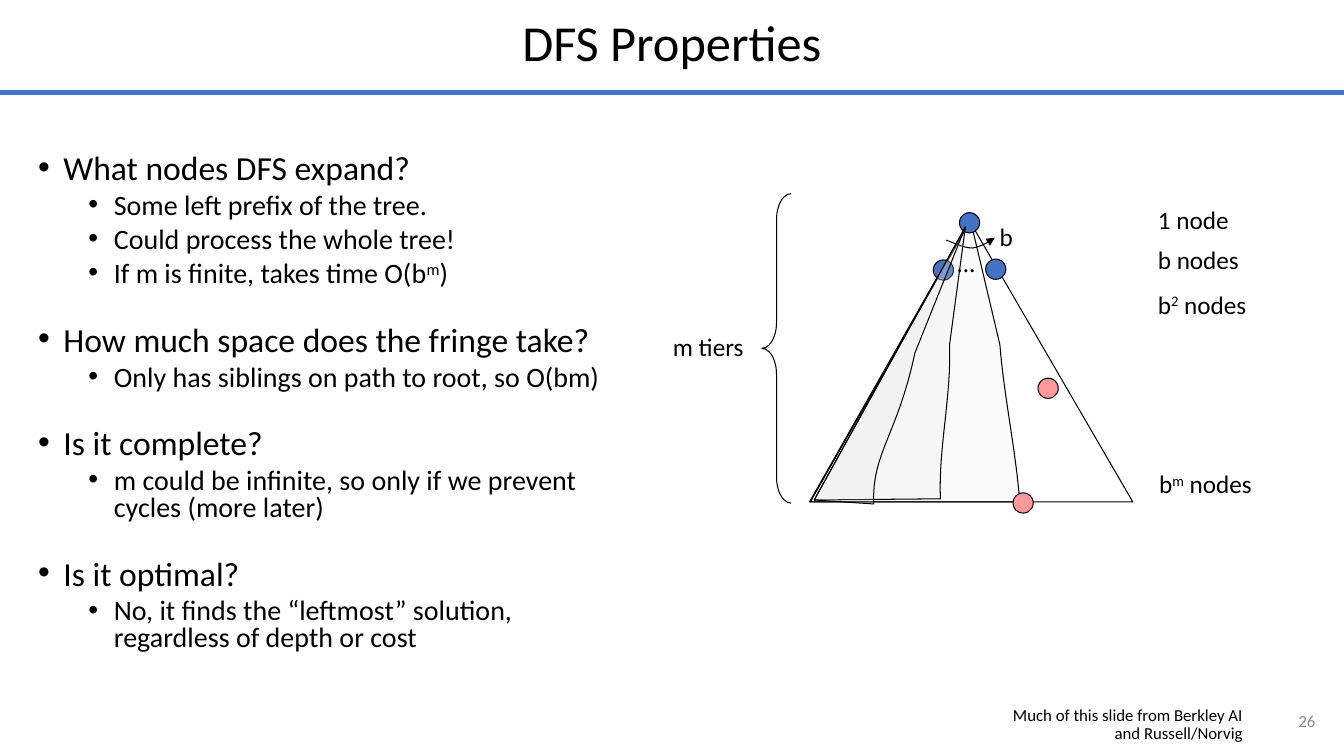
from lxml import etree
from pptx import Presentation
from pptx import util as u
from pptx.dml.color import RGBColor
from pptx.enum import shapes, text
from pptx.oxml import ns

BLACK = RGBColor(0x00, 0x00, 0x00)
BLUE = RGBColor(0x44, 0x72, 0xC4)
PINK = RGBColor(0xFF, 0x99, 0x99)
PALE = RGBColor(0xE7, 0xE6, 0xE6)
GREY = RGBColor(0x8C, 0x8C, 0x8C)

WIDTH, HEIGHT = 33.87, 19.05
NODE = 0.51
LABEL_HEIGHT = 1.02
CURVE_STEPS = 16

LABEL = {"size": u.Pt(18)}
TITLE = {"size": u.Pt(36)}
QUESTION = {"size": u.Pt(24)}
ANSWER = {"size": u.Pt(20)}
SMALL = {"size": u.Pt(12)}

QUESTIONS = [
    ("What nodes DFS expand?",
     ["Some left prefix of the tree.", "Could process the whole tree!",
      "If m is finite, takes time O(b^m^)"]),
    ("How much space does the fringe take?",
     ["Only has siblings on path to root, so O(bm)"]),
    ("Is it complete?",
     ["m could be infinite, so only if we prevent cycles (more later)"]),
    ("Is it optimal?",
     ["No, it finds the “leftmost” solution, regardless of depth or cost"]),
]


def apply(target, values):
    for name, value in values.items():
        setattr(target, name, value)


def add_sub(parent, tag, **attributes):
    return etree.SubElement(parent, ns.qn(tag), attributes)


def write(paragraph, wording, font, color=BLACK):
    """Text between carets is superscript."""
    for number, part in enumerate(wording.split("^")):
        run = paragraph.add_run()
        run.text = part
        apply(run.font, {"name": "Calibri", **font})
        run.font.color.rgb = color
        if number % 2:
            run._r.get_or_add_rPr().set("baseline", "30000")


def text_frame(slide, box, anchor=text.MSO_ANCHOR.TOP):
    frame = slide.shapes.add_textbox(*map(u.Cm, box)).text_frame
    apply(frame, {"word_wrap": True, "vertical_anchor": anchor})
    return frame


def add_text(slide, box, wording, font, color=BLACK, layout=None,
             anchor=text.MSO_ANCHOR.TOP):
    paragraph = text_frame(slide, box, anchor).paragraphs[0]
    apply(paragraph, layout or {})
    write(paragraph, wording, font, color)


def style(shape, fill=None, alpha=None):
    shape.shadow.inherit = False
    shape.line.color.rgb = BLACK
    shape.line.width = u.Pt(0.75)
    if fill is None:
        shape.fill.background()
        return
    shape.fill.solid()
    shape.fill.fore_color.rgb = fill
    if alpha:
        color = shape._element.spPr.find(".//" + ns.qn("a:srgbClr"))
        add_sub(color, "a:alpha", val=str(alpha * 1000))


def curve(start, control1, control2, end):
    """Points of a cubic curve after its start."""
    points = []
    for step in range(1, CURVE_STEPS + 1):
        t = step / CURVE_STEPS
        weights = ((1 - t) ** 3, 3 * t * (1 - t) ** 2, 3 * t * t * (1 - t), t ** 3)
        corners = (start, control1, control2, end)
        points.append(tuple(sum(w * corner[axis] for w, corner in zip(weights, corners))
                            for axis in (0, 1)))
    return points


def add_outline(slide, box, points, close=True):
    placed = [(u.Cm(box[0] + x), u.Cm(box[1] + y)) for x, y in points]
    builder = slide.shapes.build_freeform(*placed[0])
    builder.add_line_segments(placed[1:], close=close)
    return builder.convert_to_shape()


def add_swept(slide, box, corner, bottom, control1, control2, bend, apex):
    points = [corner, bottom, *curve(bottom, control1, control2, bend), apex]
    style(add_outline(slide, box, points), PALE, 20)


def add_node(slide, box, x, y, color):
    node = slide.shapes.add_shape(shapes.MSO_SHAPE.OVAL, u.Cm(box[0] + x),
                                  u.Cm(box[1] + y), u.Cm(NODE), u.Cm(NODE))
    style(node, color)


def add_header(slide, box):
    left, top, width, height = box
    add_text(slide, box, "DFS Properties", TITLE, anchor=text.MSO_ANCHOR.MIDDLE,
             layout={"alignment": text.PP_ALIGN.CENTER, "line_spacing": 0.9})
    rule_y = u.Cm(top + height)
    rule = slide.shapes.add_connector(shapes.MSO_CONNECTOR.STRAIGHT,
                                      u.Cm(left), rule_y, u.Cm(left + width), rule_y)
    rule.line.color.rgb = BLUE
    rule.line.width = u.Pt(3.75)
    add_sub(rule._element.spPr, "a:effectLst")


def add_questions(slide, box):
    frame = text_frame(slide, box)

    def add_bullet(wording, font, indent, space):
        first = not frame.paragraphs[0].runs
        paragraph = frame.paragraphs[0] if first else frame.add_paragraph()
        properties = paragraph._p.get_or_add_pPr()
        properties.set("marL", str(u.Cm(indent)))
        properties.set("indent", str(-u.Cm(0.64)))
        add_sub(properties, "a:buFont", typeface="Arial")
        add_sub(properties, "a:buChar", char="•")
        apply(paragraph, {"line_spacing": 0.8, "space_before": u.Pt(0 if first else space)})
        write(paragraph, wording, font)

    for question, answers in QUESTIONS:
        add_bullet(question, QUESTION, 0.64, 26.7)
        for answer in answers:
            add_bullet(answer, ANSWER, 1.91, 5)


def add_tree(slide, box):
    left, top, _, height = box

    # Widest searched part, then the whole tree
    add_swept(slide, box, (3.71, 7.77), (8.99, 7.77), (8.89, 6.45), (8.59, 5.1),
              (8.49, 3.81), (7.75, 0.68))
    style(add_outline(slide, box, [(3.69, 7.77), (11.84, 7.77), (7.72, 0.68)]))

    # Root and its children
    for x, y in ((7.47, 0.48), (6.81, 1.67), (8.13, 1.65)):
        add_node(slide, box, x, y, BLUE)

    # Branching arrow
    start, middle, end = (7.14, 1.17), (7.8, 1.37), (8.36, 1.11)
    sweep = [start, *curve(start, (7.37, 1.27), (7.6, 1.37), middle),
             *curve(middle, (8, 1.34), (8.18, 1.24), end)]
    arrow = add_outline(slide, box, sweep, close=False)
    style(arrow)
    add_sub(arrow.line._get_or_add_ln(), "a:tailEnd", type="triangle")

    # Labels
    for wording, x, y, width in (("…", 7.17, 1.24, 0.76), ("b", 8.23, 0.56, 0.84),
                                 ("1 node", 12.22, 0.15, 3.1),
                                 ("b nodes", 12.22, 1.14, 3.1),
                                 ("b^2^ nodes", 12.22, 2.28, 3.1),
                                 ("b^m^ nodes", 12.25, 6.8, 4.06),
                                 ("m tiers", 0, 3.35, 3.51)):
        add_text(slide, (left + x, top + y, width, LABEL_HEIGHT), wording, LABEL)

    # Depth brace
    brace = slide.shapes.add_shape(shapes.MSO_SHAPE.LEFT_BRACE, u.Cm(left + 2.49),
                                   u.Cm(top), u.Cm(0.74), u.Cm(height))
    brace.adjustments[0] = 0.884
    style(brace)

    # Narrower searched parts
    corner, apex = (3.81, 7.72), (7.62, 0.84)
    add_swept(slide, box, corner, (6.99, 7.69), (6.94, 6.4), (7.27, 5.1),
              (7.22, 3.81), apex)
    add_swept(slide, box, corner, (5.31, 7.82), (5.26, 6.52), (5.9, 6.12),
              (6.35, 4.01), apex)

    # Goals
    for x, y in ((8.82, 7.54), (9.45, 4.65)):
        add_node(slide, box, x, y, PINK)


def add_footer(slide, box):
    left, top, _, _ = box
    right = {"alignment": text.PP_ALIGN.RIGHT}
    add_text(slide, (left, top, 6.83, 0.64),
             "Much of this slide from Berkley AI and Russell/Norvig", SMALL,
             layout={**right, "line_spacing": 0.9})
    add_text(slide, (left + 6.93, top - 0.03, 1.73, 1.02), "26", SMALL, GREY, right,
             text.MSO_ANCHOR.MIDDLE)


def main():
    deck = Presentation()
    apply(deck, {"slide_width": u.Cm(WIDTH), "slide_height": u.Cm(HEIGHT)})
    slide = deck.slides.add_slide(deck.slide_layouts[6])
    add_header(slide, (0, -0.05, WIDTH, 2.39))
    add_questions(slide, (0.71, 3.78, 15.16, 13.13))
    add_tree(slide, (16.71, 4.88, 16.31, 7.8))
    add_footer(slide, (24.74, 17.68, 8.66, 1.02))
    deck.save("out.pptx")


if __name__ == "__main__":
    main()
